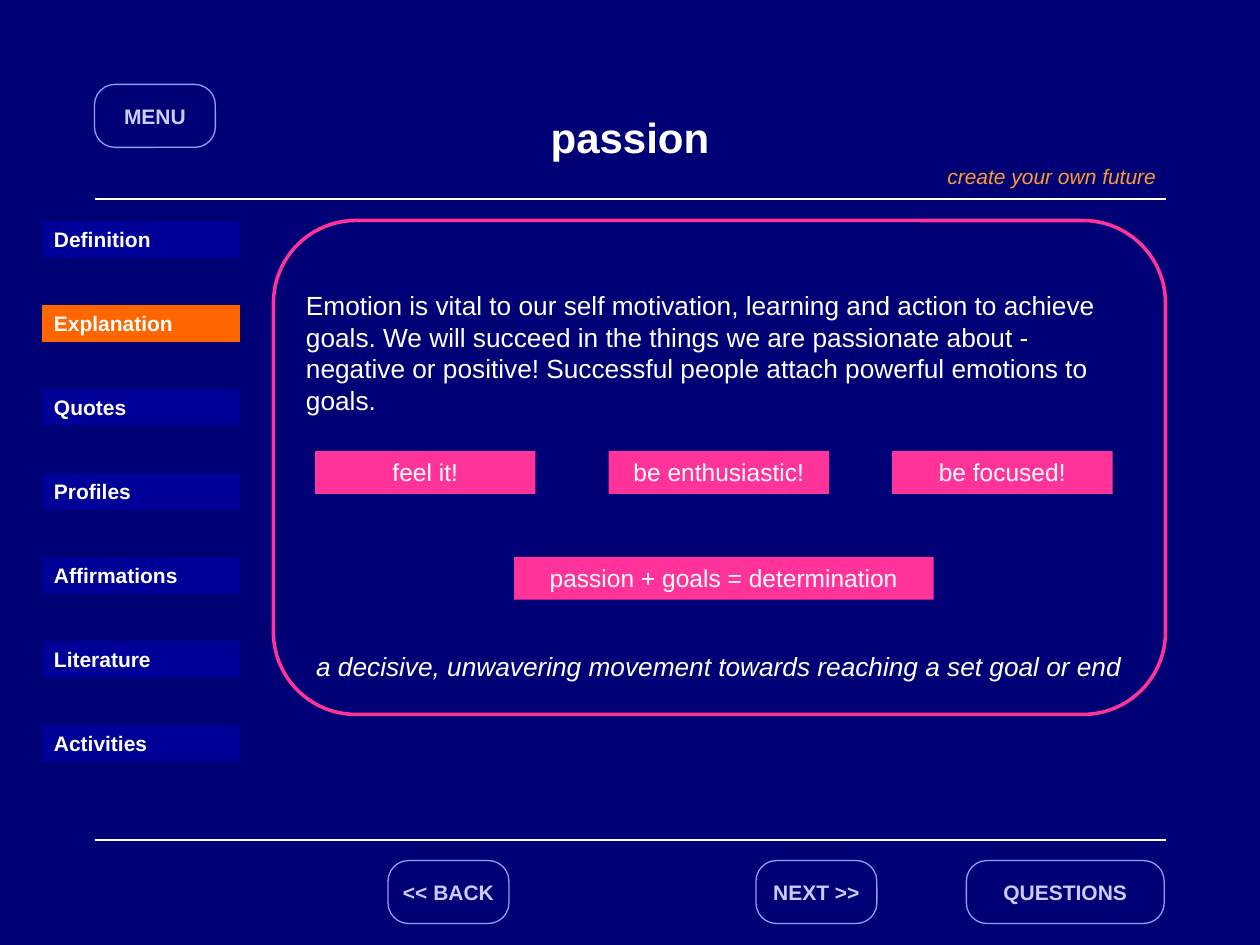
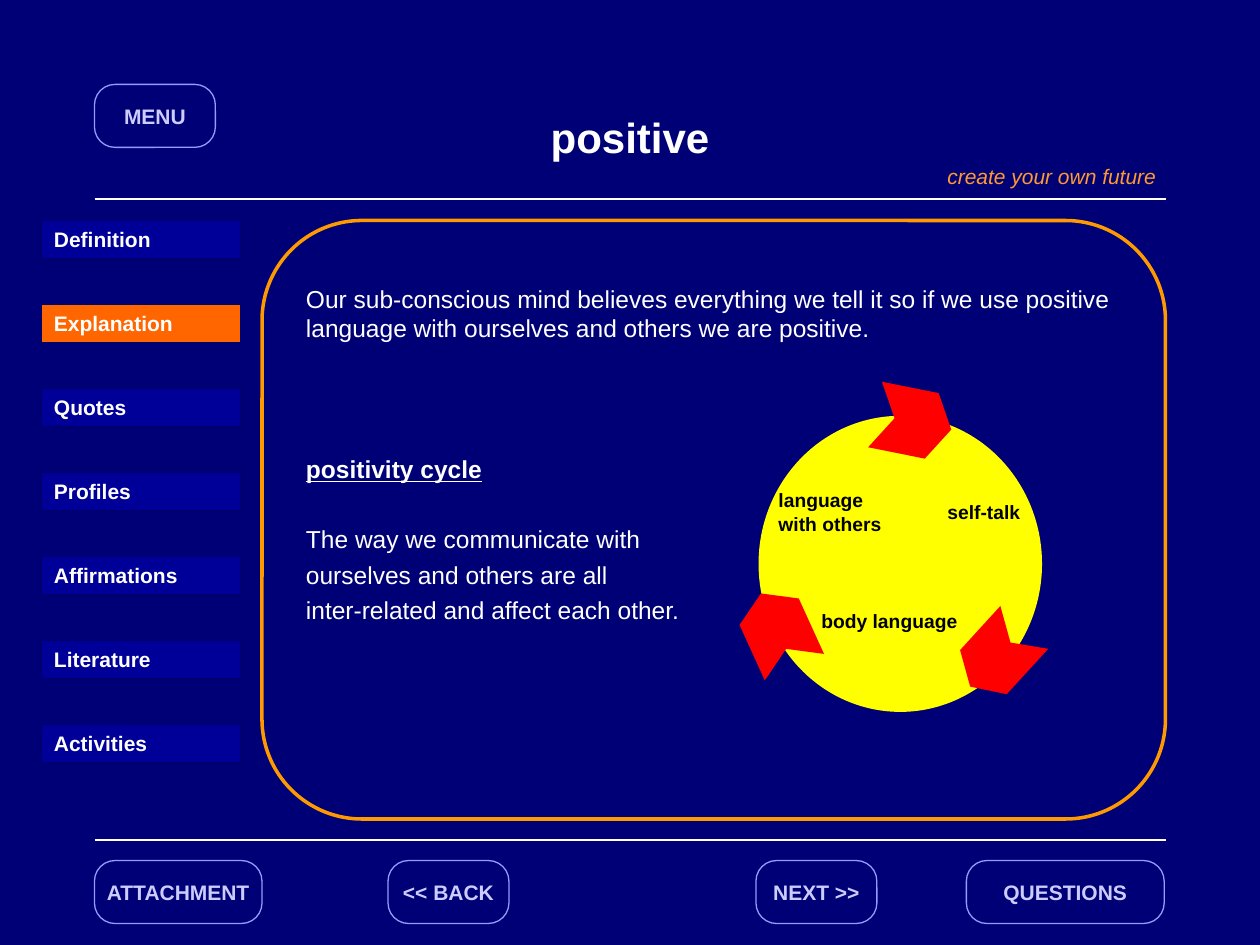
"""Build two slides of a personal development course: passion and positive."""
from lxml import etree
from pptx import Presentation
from pptx.dml.color import RGBColor
from pptx.enum.shapes import MSO_CONNECTOR, MSO_SHAPE
from pptx.enum.text import MSO_ANCHOR, PP_ALIGN
from pptx.oxml.ns import qn
from pptx.util import Inches, Pt

FONT = "Arial"
NAVY = RGBColor(0x00, 0x00, 0x76)
TAB_BLUE = RGBColor(0x00, 0x00, 0x99)
TAB_EDGE = RGBColor(0x00, 0x00, 0x66)
TAB_ACTIVE = RGBColor(0xFF, 0x66, 0x00)
BUTTON_EDGE = RGBColor(0x99, 0x99, 0xFF)
BUTTON_TEXT = RGBColor(0xCC, 0xCC, 0xFF)
MOTTO_ORANGE = RGBColor(0xFF, 0x99, 0x33)
FRAME_ORANGE = RGBColor(0xFF, 0x99, 0x00)
PINK = RGBColor(0xFF, 0x33, 0x99)
YELLOW = RGBColor(0xFF, 0xFF, 0x00)
RED = RGBColor(0xFF, 0x00, 0x00)
WHITE = RGBColor(0xFF, 0xFF, 0xFF)
BLACK = RGBColor(0x00, 0x00, 0x00)

SECTIONS = ["Definition", "Explanation", "Quotes", "Profiles",
            "Affirmations", "Literature", "Activities"]
FOOTER_TOP = 6.83
CYCLE_ARROWS = [
    [(7, 3.03), (7.45, 3.12), (7.55, 3.41), (7.34, 3.64), (6.89, 3.55), (7.1, 3.32)],
    [(8.32, 5.15), (7.99, 5.51), (7.7, 5.45), (7.62, 5.16), (7.94, 4.81), (8.02, 5.1)],
    [(6.07, 5.4), (5.87, 4.96), (6.04, 4.71), (6.34, 4.75), (6.54, 5.19), (6.24, 5.15)],
]


def style_paragraph(paragraph, text, size, color=WHITE, bold=False, italic=False,
                    underline=False, align=PP_ALIGN.LEFT, before=0):
    """Fill a paragraph and set its font, alignment and space before."""
    paragraph.text = text
    paragraph.alignment = align
    paragraph.space_before = Pt(before)
    font = paragraph.font
    font.name, font.size, font.color.rgb = FONT, Pt(size), color
    font.bold, font.italic, font.underline = bold, italic, underline


def add_text(slide, box, paragraphs, anchor=MSO_ANCHOR.TOP, margin_top=0.05):
    """Add a wrapping text box from (text, style) pairs."""
    frame = slide.shapes.add_textbox(*map(Inches, box)).text_frame
    frame.word_wrap = True
    frame.vertical_anchor = anchor
    frame.margin_top = Inches(margin_top)
    for index, (text, style) in enumerate(paragraphs):
        paragraph = frame.add_paragraph() if index else frame.paragraphs[0]
        style_paragraph(paragraph, text, **style)


def paint(shape, fill=None, edge=None, width=0.75):
    """Set fill and line of a shape and drop its shadow."""
    shape.shadow.inherit = False
    if fill is None:
        shape.fill.background()
    else:
        shape.fill.solid()
        shape.fill.fore_color.rgb = fill
    if edge is None:
        shape.line.fill.background()
    else:
        shape.line.color.rgb = edge
        shape.line.width = Pt(width)


def add_block(slide, kind, box, fill=None, edge=None, width=0.75):
    """Add a painted preset shape."""
    shape = slide.shapes.add_shape(kind, *map(Inches, box))
    paint(shape, fill, edge, width)
    return shape


def add_button(slide, label, left, top, width=0.96):
    """Add a rounded navigation button."""
    button = add_block(slide, MSO_SHAPE.ROUNDED_RECTANGLE, (left, top, width, 0.5),
                       NAVY, BUTTON_EDGE)
    button.adjustments[0] = 0.327
    button.text_frame.word_wrap = False
    button.text_frame.vertical_anchor = MSO_ANCHOR.MIDDLE
    style_paragraph(button.text_frame.paragraphs[0], label, 12, BUTTON_TEXT,
                    bold=True, align=PP_ALIGN.CENTER)


def add_label(slide, label, box, fill, edge=None, **style):
    """Add a filled rectangle with one line of text."""
    block = add_block(slide, MSO_SHAPE.RECTANGLE, box, fill, edge)
    block.text_frame.vertical_anchor = MSO_ANCHOR.TOP
    style_paragraph(block.text_frame.paragraphs[0], label, **style)


def add_rule(slide, top):
    """Add a white line across the slide."""
    rule = slide.shapes.add_connector(MSO_CONNECTOR.STRAIGHT, Inches(0.75), Inches(top),
                                      Inches(9.25), Inches(top))
    rule.line.color.rgb = WHITE
    rule.line.width = Pt(1.25)
    etree.SubElement(rule.element.spPr, qn("a:effectLst"))


def add_frame(slide, box, color):
    """Add the rounded outline around the content."""
    frame = add_block(slide, MSO_SHAPE.ROUNDED_RECTANGLE, box, edge=color, width=2)
    frame.adjustments[0] = 0.167


def add_arrow(slide, points):
    """Add a red chevron outline."""
    corners = [(Inches(x), Inches(y)) for x, y in points]
    builder = slide.shapes.build_freeform(*corners[0])
    builder.add_line_segments(corners[1:], close=True)
    paint(builder.convert_to_shape(), RED)


def add_course_slide(prs, title, active="Explanation"):
    """Add a slide with the title, rules, sidebar and navigation."""
    slide = prs.slides.add_slide(prs.slide_layouts[6])
    for top in (1.58, 6.67):
        add_rule(slide, top)
    add_button(slide, "MENU", 0.75, 0.67)
    add_button(slide, "<< BACK", 3.08, FOOTER_TOP)
    add_button(slide, "NEXT >>", 6, FOOTER_TOP)
    add_button(slide, "QUESTIONS", 7.67, FOOTER_TOP, 1.57)
    add_text(slide, (7.42, 1.25, 1.92, 0.3),
             [("create your own future", dict(size=12, color=MOTTO_ORANGE, italic=True))])
    add_text(slide, (0.75, 0.67, 8.5, 0.83),
             [(title, dict(size=24, bold=True, align=PP_ALIGN.CENTER))], MSO_ANCHOR.MIDDLE)
    for index, section in enumerate(SECTIONS):
        add_label(slide, section, (0.33, 1.75 + index * 2 / 3, 1.58, 0.3),
                  TAB_ACTIVE if section == active else TAB_BLUE, TAB_EDGE,
                  size=12, bold=True)
    return slide


def build_passion(prs):
    """Build the slide on passion."""
    slide = add_course_slide(prs, "passion")
    add_text(slide, (2.33, 2.25, 6.75, 3.25), [
        ("Emotion is vital to our self motivation, learning and action to achieve goals. "
         "We will succeed in the things we are passionate about - negative or positive! "
         "Successful people attach powerful emotions to goals.", dict(size=15)),
        ("a decisive, unwavering movement towards reaching a set goal or end",
         dict(size=15, italic=True, align=PP_ALIGN.CENTER, before=134)),
    ])
    for message, left, top, width in [
        ("feel it!", 2.5, 3.58, 1.75),
        ("be enthusiastic!", 4.83, 3.58, 1.75),
        ("be focused!", 7.08, 3.58, 1.75),
        ("passion + goals = determination", 4.08, 4.42, 3.33),
    ]:
        add_label(slide, message, (left, top, width, 0.34), PINK,
                  size=14, align=PP_ALIGN.CENTER)
    add_frame(slide, (2.17, 1.75, 7.08, 3.92), PINK)


def build_positive(prs):
    """Build the slide on the positivity cycle."""
    slide = add_course_slide(prs, "positive")
    add_button(slide, "ATTACHMENT", 0.75, FOOTER_TOP, 1.33)
    add_text(slide, (2.33, 1.92, 6.92, 4.58), [
        ("Our sub-conscious mind believes everything we tell it so if we use positive "
         "language with ourselves and others we are positive.", dict(size=14)),
        ("positivity cycle", dict(size=14, bold=True, underline=True, before=64)),
        ("The way we communicate with", dict(size=14, before=23)),
        ("ourselves and others are all", dict(size=14, before=3.5)),
        ("inter-related and affect each other.", dict(size=14, before=3.5)),
    ], margin_top=0.33)
    add_block(slide, MSO_SHAPE.OVAL, (6.02, 3.3, 2.25, 2.35), YELLOW)
    for points in CYCLE_ARROWS:
        add_arrow(slide, points)
    for stage, box in [
        ("language with others", (6.08, 3.83, 1.08, 0.57)),
        ("self-talk", (7.42, 3.92, 0.88, 0.4)),
        ("body language", (6.42, 4.79, 1.34, 0.74)),
    ]:
        add_text(slide, box, [(stage, dict(size=11, color=BLACK, bold=True))])
    add_frame(slide, (2.08, 1.75, 7.17, 4.75), FRAME_ORANGE)


def main():
    """Create the presentation and save it."""
    prs = Presentation()
    prs.slide_width, prs.slide_height = Inches(10), Inches(7.5)
    background = prs.slide_master.background.fill
    background.solid()
    background.fore_color.rgb = NAVY
    build_passion(prs)
    build_positive(prs)
    prs.save("out.pptx")


if __name__ == "__main__":
    main()
